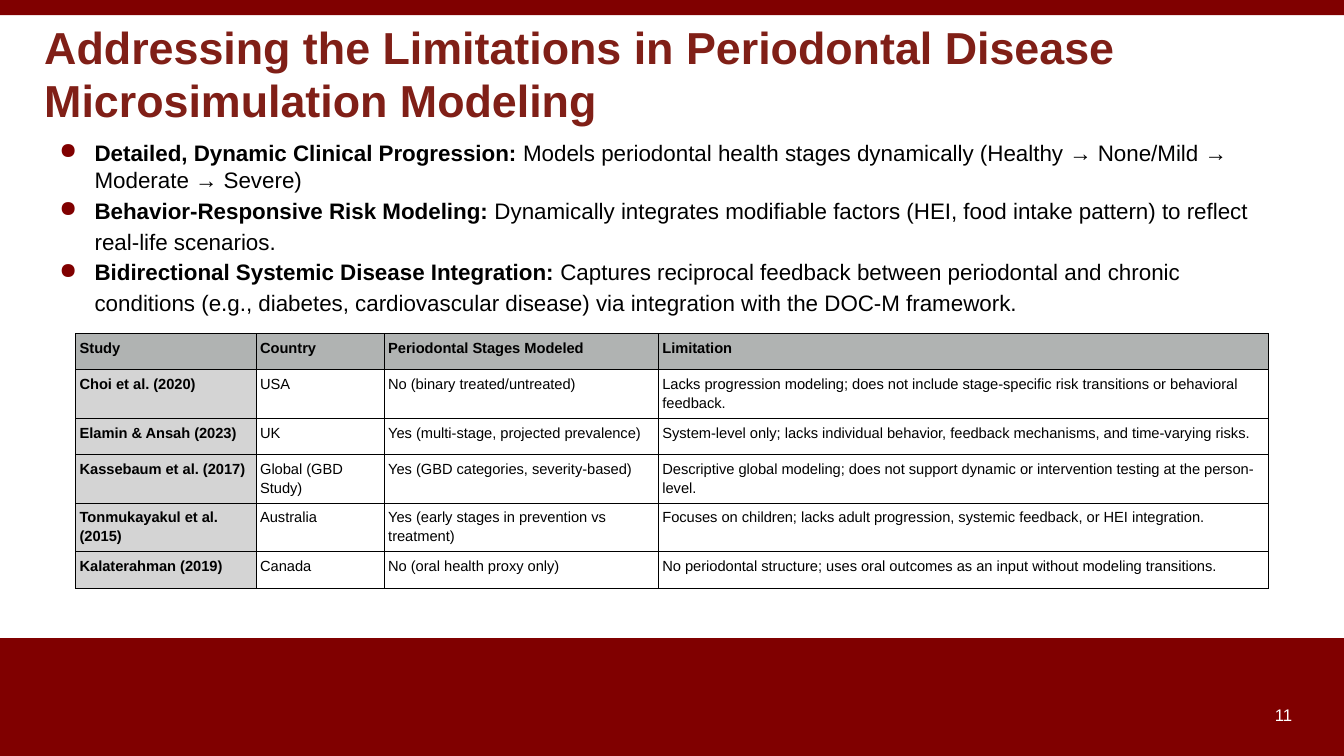
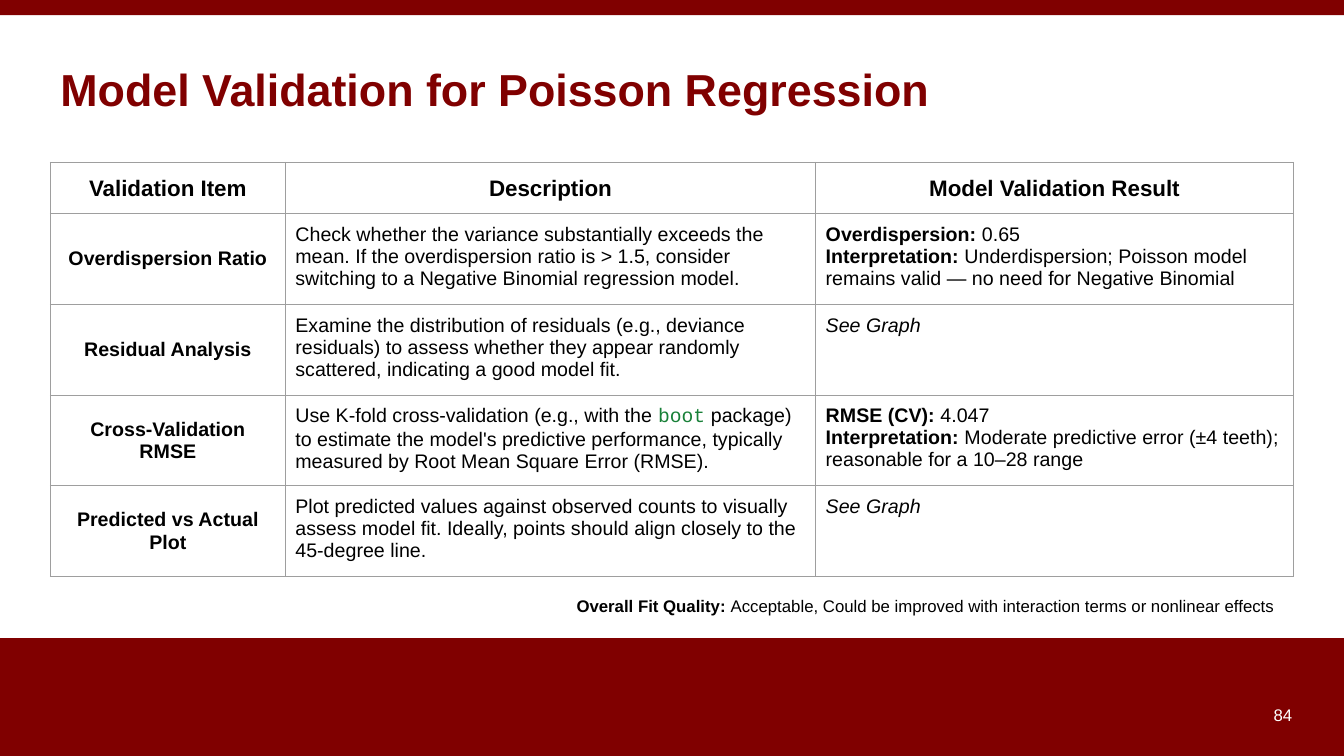
from dataclasses import dataclass, replace
from typing import Any, NamedTuple

from lxml import etree
from pptx import Presentation
from pptx import util as u
from pptx.dml import color
from pptx.enum import shapes, text
from pptx.oxml import ns

SLIDE_WIDTH, SLIDE_HEIGHT = u.Inches(13.33), u.Inches(7.5)
MAROON, BRICK, BLACK, WHITE = "800000", "801F17", "000000", "FFFFFF"
HEADER_GRAY, STUB_GRAY, RULE_GRAY, CODE_GREEN = "B0B3B2", "D4D4D4", "9E9E9E", "188038"
LEFT, CENTER, RIGHT = text.PP_ALIGN.LEFT, text.PP_ALIGN.CENTER, text.PP_ALIGN.RIGHT
TOP, MIDDLE, BOTTOM = text.MSO_ANCHOR.TOP, text.MSO_ANCHOR.MIDDLE, text.MSO_ANCHOR.BOTTOM


class Box(NamedTuple):
    """Percentages of the slide's width and height."""

    left: float
    top: float
    width: float
    height: float


class Run(NamedTuple):
    words: str
    formats: dict[str, Any] = {}


class Insets(NamedTuple):
    side: float = 0.1
    vertical: float = 0.1


@dataclass(frozen=True)
class Style:
    size: float
    ink: str = BLACK
    bold: bool = False
    align: Any = LEFT
    anchor: Any = TOP
    spacing: float = 1.0
    insets: Insets = Insets()
    bulleted: bool = False


@dataclass(frozen=True)
class Grid:
    left: float
    top: float
    columns: tuple[float, ...]
    rows: tuple[float, ...]
    border: str
    header: Style
    stub: Style
    body: Style
    header_fill: str = WHITE
    stub_fill: str = WHITE


Paragraph = list[Run]
Cell = str | list[Paragraph]

BANDS = (Box(0, 84.4, 100, 15.6), Box(0, 0, 100, 2))
NUMBER_BOX = Box(38.55, 88.13, 57.6, 7.73)
TITLE = Style(32, MAROON, True, anchor=MIDDLE, insets=Insets(0.1, 0))
NUMBER = Style(12, WHITE, align=RIGHT, anchor=BOTTOM, insets=Insets(0, 0))
BULLETS = Style(16, spacing=1.15, insets=Insets(0.1, 0), bulleted=True)
NOTE = Style(12)
STUDY = Style(10.5, spacing=1.15, insets=Insets(0.04, 0.04))
STUDY_BOLD = replace(STUDY, bold=True)
VALIDATION = Style(14)

STUDY_GRID = Grid(
    5.63, 44.13, (13.43, 9.53, 20.4, 45.39), (4.8, 6.05, 4.8, 6.05, 6.05, 4.8),
    BLACK, STUDY_BOLD, STUDY_BOLD, STUDY, HEADER_GRAY, STUB_GRAY,
)
VALIDATION_GRID = Grid(
    3.75, 21.47, (17.48, 39.46, 35.56), (6.4,) + (11.47,) * 4, RULE_GRAY,
    Style(16, bold=True, align=CENTER, spacing=1.15),
    Style(14, bold=True, align=CENTER, anchor=MIDDLE), VALIDATION,
)


def across(share: float) -> int:
    return round(SLIDE_WIDTH * share / 100)


def down(share: float) -> int:
    return round(SLIDE_HEIGHT * share / 100)


def place(box: Box) -> tuple[int, int, int, int]:
    return across(box.left), down(box.top), across(box.width), down(box.height)


def rgb(value: str) -> color.RGBColor:
    return color.RGBColor.from_string(value)


def apply(target: Any, formats: dict[str, Any]) -> None:
    for name, value in formats.items():
        if name == "ink":
            target.color.rgb = rgb(value)
        else:
            setattr(target, name, value)


def labelled(label: str, words: str) -> Paragraph:
    return [Run(label + " ", {"bold": True}), Run(words)]


def add_bullet(paragraph: Any) -> None:
    properties = paragraph._p.get_or_add_pPr()
    properties.set("marL", str(u.Inches(0.5)))
    properties.set("indent", str(u.Inches(-0.35)))
    tint = etree.SubElement(properties, ns.qn("a:buClr"))
    etree.SubElement(tint, ns.qn("a:srgbClr"), val=MAROON)
    etree.SubElement(properties, ns.qn("a:buChar"), char="●")


def write(frame: Any, content: Cell, style: Style) -> None:
    paragraphs = [[Run(content)]] if isinstance(content, str) else content
    for index, runs in enumerate(paragraphs):
        paragraph = frame.paragraphs[0] if index == 0 else frame.add_paragraph()
        if style.bulleted:
            add_bullet(paragraph)
        first_bullet = style.bulleted and index == 0
        apply(paragraph, {
            "alignment": style.align,
            "line_spacing": 1.0 if first_bullet else style.spacing,
        })
        for words, formats in runs:
            run = paragraph.add_run()
            run.text = words
            base = {"name": "Arial", "size": u.Pt(style.size), "bold": style.bold, "ink": style.ink}
            apply(run.font, base | formats)


def margins(style: Style) -> dict[str, Any]:
    side, vertical = (u.Inches(inset) for inset in style.insets)
    return {
        "margin_left": side, "margin_right": side,
        "margin_top": vertical, "margin_bottom": vertical,
        "vertical_anchor": style.anchor,
    }


def add_text(slide: Any, box: Box, content: Cell, style: Style) -> None:
    frame = slide.shapes.add_textbox(*place(box)).text_frame
    apply(frame, {"word_wrap": True} | margins(style))
    write(frame, content, style)


def add_borders(cell: Any, ink: str) -> None:
    properties = cell._tc.get_or_add_tcPr()
    for index, edge in enumerate(("lnL", "lnR", "lnT", "lnB")):
        line = etree.Element(ns.qn("a:" + edge), w=str(u.Pt(0.75)))
        fill = etree.SubElement(line, ns.qn("a:solidFill"))
        etree.SubElement(fill, ns.qn("a:srgbClr"), val=ink)
        properties.insert(index, line)


def add_grid(slide: Any, grid: Grid, records: list[tuple[Cell, ...]]) -> None:
    box = Box(grid.left, grid.top, sum(grid.columns), sum(grid.rows))
    table = slide.shapes.add_table(len(grid.rows), len(grid.columns), *place(box)).table
    apply(table, {"first_row": False, "horz_banding": False})
    for column, share in zip(table.columns, grid.columns):
        column.width = across(share)
    for row, share in zip(table.rows, grid.rows):
        row.height = down(share)
    for row_index, record in enumerate(records):
        for column_index, content in enumerate(record):
            if row_index == 0:
                style, fill = grid.header, grid.header_fill
            elif column_index == 0:
                style, fill = grid.stub, grid.stub_fill
            else:
                style, fill = grid.body, WHITE
            cell = table.cell(row_index, column_index)
            apply(cell, margins(style))
            cell.fill.solid()
            cell.fill.fore_color.rgb = rgb(fill)
            add_borders(cell, grid.border)
            write(cell.text_frame, content, style)


def add_slide(presentation: Any, title: str, box: Box, style: Style, number: int) -> Any:
    slide = presentation.slides.add_slide(presentation.slide_layouts[6])
    for band in BANDS:
        shape = slide.shapes.add_shape(shapes.MSO_SHAPE.RECTANGLE, *place(band))
        shape.shadow.inherit = False
        shape.fill.solid()
        shape.fill.fore_color.rgb = rgb(MAROON)
        shape.line.fill.background()
    add_text(slide, box, title, style)
    add_text(slide, NUMBER_BOX, str(number), NUMBER)
    return slide


def build_limitations(presentation: Any) -> None:
    slide = add_slide(
        presentation, "Addressing the Limitations in Periodontal Disease Microsimulation Modeling",
        Box(2.55, 4.67, 93.6, 10), replace(TITLE, ink=BRICK), 11,
    )
    add_text(slide, Box(2.55, 18.4, 92.5, 24), [
        labelled("Detailed, Dynamic Clinical Progression:",
                 "Models periodontal health stages dynamically "
                 "(Healthy → None/Mild → Moderate → Severe)"),
        labelled("Behavior-Responsive Risk Modeling:",
                 "Dynamically integrates modifiable factors (HEI, food intake pattern) "
                 "to reflect real-life scenarios."),
        labelled("Bidirectional Systemic Disease Integration:",
                 "Captures reciprocal feedback between periodontal and chronic conditions "
                 "(e.g., diabetes, cardiovascular disease) via integration with the DOC-M framework."),
    ], BULLETS)
    add_grid(slide, STUDY_GRID, [
        ("Study", "Country", "Periodontal Stages Modeled", "Limitation"),
        ("Choi et al. (2020)", "USA", "No (binary treated/untreated)",
         "Lacks progression modeling; does not include stage-specific risk transitions "
         "or behavioral feedback."),
        ("Elamin & Ansah (2023)", "UK", "Yes (multi-stage, projected prevalence)",
         "System-level only; lacks individual behavior, feedback mechanisms, and time-varying risks."),
        ("Kassebaum et al. (2017)", "Global (GBD Study)", "Yes (GBD categories, severity-based)",
         "Descriptive global modeling; does not support dynamic or intervention testing "
         "at the person-level."),
        ("Tonmukayakul et al. (2015)", "Australia", "Yes (early stages in prevention vs treatment)",
         "Focuses on children; lacks adult progression, systemic feedback, or HEI integration."),
        ("Kalaterahman (2019)", "Canada", "No (oral health proxy only)",
         "No periodontal structure; uses oral outcomes as an input without modeling transitions."),
    ])


def build_validation(presentation: Any) -> None:
    slide = add_slide(
        presentation, "Model Validation for Poisson Regression",
        Box(3.75, 4.67, 92.5, 14), TITLE, 84,
    )
    see_graph = [[Run("See Graph", {"italic": True})]]
    add_grid(slide, VALIDATION_GRID, [
        ("Validation Item", "Description", "Model Validation Result"),
        ("Overdispersion Ratio",
         "Check whether the variance substantially exceeds the mean. If the overdispersion ratio "
         "is > 1.5, consider switching to a Negative Binomial regression model.",
         [labelled("Overdispersion:", "0.65"),
          labelled("Interpretation:", "Underdispersion; Poisson model remains valid — "
                   "no need for Negative Binomial")]),
        ("Residual Analysis",
         "Examine the distribution of residuals (e.g., deviance residuals) to assess whether "
         "they appear randomly scattered, indicating a good model fit.", see_graph),
        ("Cross-Validation RMSE",
         [[Run("Use K-fold cross-validation (e.g., with the "),
           Run("boot", {"name": "Courier New", "ink": CODE_GREEN}),
           Run(" package) to estimate the model's predictive performance, typically measured "
               "by Root Mean Square Error (RMSE).")]],
         [labelled("RMSE (CV):", "4.047"),
          labelled("Interpretation:", "Moderate predictive error (±4 teeth); "
                   "reasonable for a 10–28 range")]),
        ("Predicted vs Actual Plot",
         "Plot predicted values against observed counts to visually assess model fit. "
         "Ideally, points should align closely to the 45-degree line.", see_graph),
    ])
    add_text(slide, Box(42.16, 77.47, 54.09, 6.27), [
        labelled("Overall Fit Quality:",
                 "Acceptable, Could be improved with interaction terms or nonlinear effects"),
    ], NOTE)


def main() -> None:
    presentation = Presentation()
    apply(presentation, {"slide_width": SLIDE_WIDTH, "slide_height": SLIDE_HEIGHT})
    build_limitations(presentation)
    build_validation(presentation)
    presentation.save("out.pptx")


if __name__ == "__main__":
    main()
